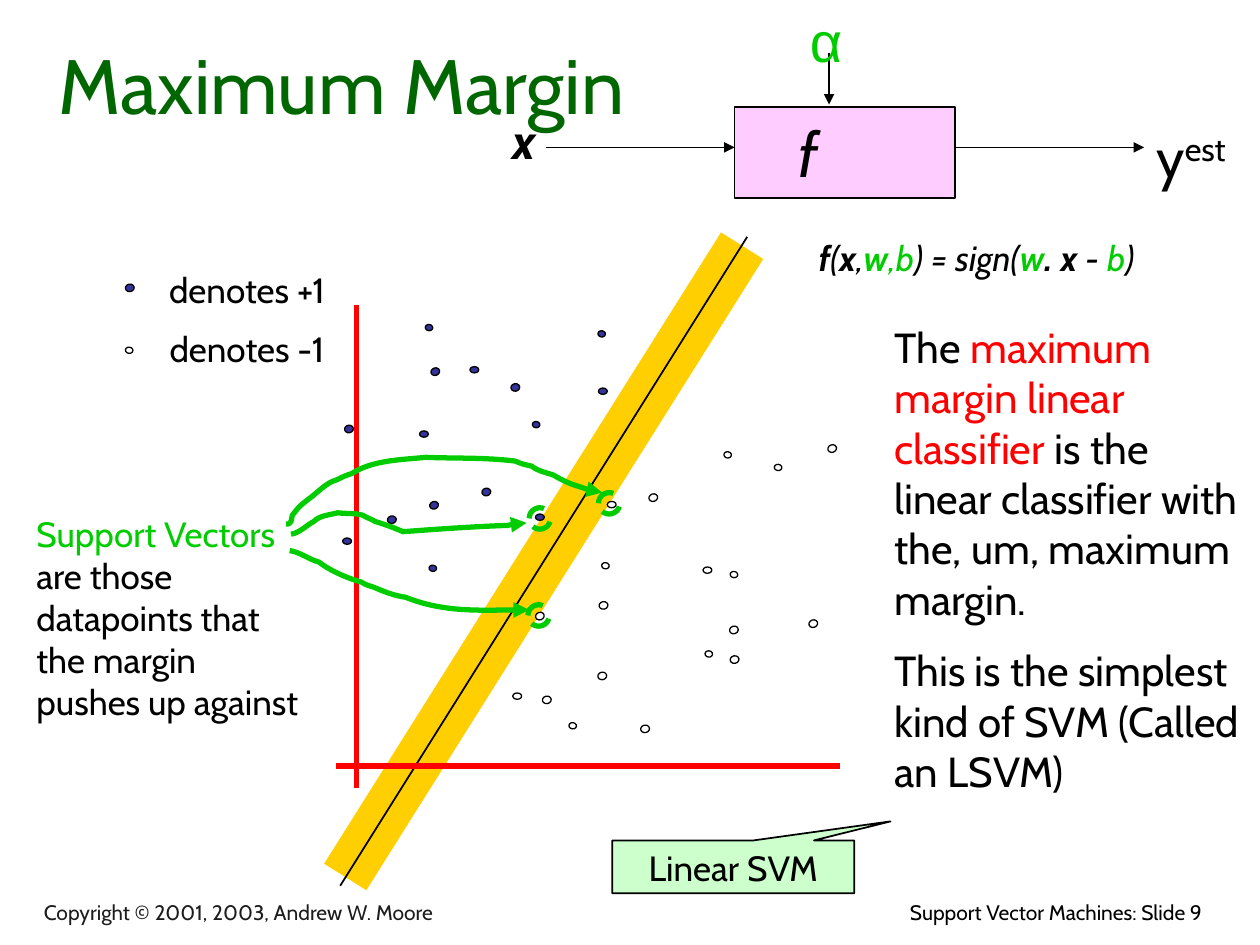
"""Build the Maximum Margin slide on support vector machines."""
from lxml.etree import SubElement
from pptx import Presentation
from pptx.dml.color import RGBColor
from pptx.enum.dml import MSO_LINE
from pptx.enum.shapes import MSO_CONNECTOR, MSO_SHAPE
from pptx.enum.text import MSO_ANCHOR, PP_ALIGN
from pptx.oxml.ns import qn
from pptx.util import Cm, Pt

BLACK = RGBColor(0x00, 0x00, 0x00)
WHITE = RGBColor(0xFF, 0xFF, 0xFF)
CHARCOAL = RGBColor(0x1C, 0x1C, 0x1C)
DARK_GREEN = RGBColor(0x00, 0x66, 0x00)
GREEN = RGBColor(0x00, 0xCC, 0x00)
MINT = RGBColor(0xCC, 0xFF, 0xCC)
RED = RGBColor(0xFF, 0x00, 0x00)
GOLD = RGBColor(0xFF, 0xCF, 0x01)
PINK = RGBColor(0xFF, 0xCC, 0xFF)
NAVY = RGBColor(0x33, 0x33, 0x99)

CENTER, RIGHT = PP_ALIGN.CENTER, PP_ALIGN.RIGHT
BOLD, PLAIN = {"bold": True}, {"bold": False}
GREEN_BOLD = {"color": GREEN, "bold": True}
GREEN_PLAIN = {"color": GREEN, "bold": False}

FOOTERS = [
    ((5.72, 7.09, 3.92, 0.3), [["Support Vector Machines: Slide 9"]],
     dict(size=12, align=RIGHT)),
    ((0.25, 7.11, 5.55, 0.28), [["Copyright © 2001, 2003, Andrew W. Moore"]],
     dict(size=12, color=CHARCOAL, anchor=MSO_ANCHOR.BOTTOM)),
]
LABELS = [
    ((0.17, 0.33, 5.08, 0.75), [["Maximum Margin"]],
     dict(size=44, color=DARK_GREEN, align=CENTER, anchor=MSO_ANCHOR.BOTTOM)),
    ((3.83, 0.83, 0.67, 0.57), [["x"]],
     dict(size=28, bold=True, italic=True, align=CENTER)),
    ((6.33, 0, 0.42, 0.63), [["α"]],
     dict(size=32, color=GREEN, font="Arial", align=CENTER)),
    ((9.08, 0.92, 0.92, 0.63), [["y", ("est", {"baseline": 30})]], dict(size=32)),
    ((0.92, 2.08, 2.08, 0.93), [["denotes +1"], ["denotes -1"]],
     dict(size=20, align=CENTER)),
    ((6, 1.83, 3.5, 0.43),
     [[("f", BOLD), "(", ("x", BOLD), ",", ("w", GREEN_BOLD), (",b", GREEN_PLAIN),
       ") = sign(", ("w", GREEN_BOLD), (". x ", BOLD), ("- ", PLAIN),
       ("b", GREEN_PLAIN), ")"]],
     dict(size=20, italic=True, align=CENTER)),
    ((7, 2.5, 3, 4.29),
     [["The ", ("maximum margin linear classifier", {"color": RED}),
       " is the linear classifier with the, um, maximum margin."],
      ["This is the simplest kind of SVM (Called an LSVM)"]],
     dict(size=24)),
    ((0.19, 4.02, 2.32, 2.1),
     [[("Support Vectors ", {"color": GREEN}),
       "are those datapoints that the margin pushes up against"]],
     dict(size=20)),
]

MARGIN = [((2.74, 6.96), (5.89, 1.95), GOLD, 28.5, False),
          ((2.7, 7.03), (5.93, 1.88), BLACK, 1, False)]
FLOW = [((4.33, 1.17), (5.83, 1.17), BLACK, 1, True),
        ((6.58, 0.42), (6.58, 0.83), BLACK, 1, True),
        ((7.58, 1.17), (9.08, 1.17), BLACK, 1, True)]
AXES = [((2.83, 2.42), (2.83, 6.25), RED, 3, False),
        ((2.67, 6.08), (6.67, 6.08), RED, 3, False)]

DOT_SIZES = {0: (0.07, 0.05), 341.4: (0.07, 0.06),
             98.3: (0.05, 0.06), 79.6: (0.06, 0.07)}
DOTS = [
    (NAVY, 0, [(2.72, 4.27), (4.75, 3.08), (3.73, 2.91), (4.25, 4.08), (3.33, 3.42)]),
    (NAVY, 341.4, [(3.42, 2.92), (3.41, 3.98)]),
    (NAVY, 98.3, [(4.23, 3.34), (3.41, 4.48), (4.75, 2.62), (3.38, 2.57)]),
    (NAVY, 79.6, [(1, 2.25), (3.83, 3.87), (3.08, 4.09), (4.06, 3.04), (2.74, 3.37)]),
    (WHITE, 0, [(4.07, 5.5), (4.82, 3.98), (5.58, 4.5)]),
    (WHITE, 341.4, [(4.25, 4.86), (6.57, 3.53), (5.79, 4.97), (5.15, 3.92),
                    (6.42, 4.92)]),
    (WHITE, 98.3, [(1, 2.75), (4.52, 5.73), (5.8, 4.53), (4.78, 4.46), (6.15, 3.68),
                   (5.75, 3.58), (5.6, 5.16)]),
    (WHITE, 79.6, [(5.09, 5.75), (4.75, 5.33), (4.76, 4.77), (4.31, 5.52),
                   (5.8, 5.2)]),
]
POINTERS = [
    [(2.31, 4.24), (2.38, 4.23), (2.43, 4.17), (2.49, 4.14), (2.54, 4.09),
     (2.61, 4.09), (2.68, 4.07), (2.77, 4.08), (2.81, 4.07), (2.88, 4.09),
     (2.91, 4.11), (2.95, 4.12), (2.98, 4.14), (3.05, 4.16), (3.13, 4.19),
     (3.2, 4.22), (3.47, 4.2), (3.75, 4.18), (4.03, 4.17), (4.08, 4.16),
     (4.13, 4.15), (4.18, 4.15)],
    [(2.27, 4.16), (2.28, 4.16), (2.3, 4.16), (2.3, 4.15), (2.32, 4.14),
     (2.31, 4.11), (2.32, 4.09), (2.33, 4.07), (2.35, 4.06), (2.36, 4.04),
     (2.38, 4.01), (2.48, 3.94), (2.49, 3.93), (2.55, 3.88), (2.6, 3.83),
     (2.67, 3.81), (2.71, 3.79), (2.75, 3.77), (2.79, 3.76), (2.96, 3.65),
     (3.19, 3.65), (3.38, 3.63), (3.62, 3.64), (3.85, 3.63), (4.09, 3.66),
     (4.13, 3.68), (4.17, 3.69), (4.22, 3.7), (4.27, 3.74), (4.33, 3.75),
     (4.39, 3.77), (4.46, 3.81), (4.52, 3.84), (4.59, 3.86), (4.65, 3.88),
     (4.72, 3.91), (4.78, 3.91)],
    [(2.3, 4.37), (2.38, 4.38), (2.45, 4.44), (2.53, 4.46), (2.62, 4.53),
     (2.76, 4.59), (2.87, 4.62), (2.91, 4.65), (2.95, 4.65), (2.99, 4.67),
     (3.06, 4.7), (3.14, 4.73), (3.22, 4.74), (3.52, 4.86), (3.88, 4.84),
     (4.2, 4.84)],
]
RINGS = [(4.75, 3.91), (4.2, 4.03), (4.19, 4.8)]


def lengths(inches):
    return [Cm(2.54 * value) for value in inches]


def write(frame, paragraphs, size, color=BLACK, font="Cabin", bold=False,
          italic=False, align=PP_ALIGN.LEFT, anchor=MSO_ANCHOR.TOP):
    frame.word_wrap = True
    frame.vertical_anchor = anchor
    for index, runs in enumerate(paragraphs):
        paragraph = frame.add_paragraph() if index else frame.paragraphs[0]
        paragraph.alignment = align
        paragraph.space_before = Pt(size / 2 if index else 0)
        for part in runs:
            text, change = (part, {}) if isinstance(part, str) else part
            run = paragraph.add_run()
            run.text = text
            run.font.name = font
            run.font.size = Pt(size)
            run.font.bold = change.get("bold", bold)
            run.font.italic = italic
            run.font.color.rgb = change.get("color", color)
            if "baseline" in change:
                run.font._element.set("baseline", str(change["baseline"] * 1000))


def add_labels(shapes, labels):
    for box, paragraphs, style in labels:
        write(shapes.add_textbox(*lengths(box)).text_frame, paragraphs, **style)


def stroke(shape, color, width, arrow=False):
    shape.line.color.rgb = color
    shape.line.width = Pt(width)
    if arrow:
        outline = shape._element.spPr.find(qn("a:ln"))
        SubElement(outline, qn("a:tailEnd"), type="triangle")


def add_lines(shapes, lines):
    for start, end, color, width, arrow in lines:
        line = shapes.add_connector(MSO_CONNECTOR.STRAIGHT, *lengths(start + end))
        stroke(line, color, width, arrow)
        SubElement(line._element.spPr, qn("a:effectLst"))


def add_figure(shapes, kind, box, fill=None, color=BLACK, width=1):
    figure = shapes.add_shape(kind, *lengths(box))
    figure.shadow.inherit = False
    if fill is None:
        figure.fill.background()
    else:
        figure.fill.solid()
        figure.fill.fore_color.rgb = fill
    stroke(figure, color, width)
    return figure


def add_pointer(shapes, points):
    start, *rest = [lengths(point) for point in points]
    builder = shapes.build_freeform(*start)
    builder.add_line_segments(rest, close=False)
    pointer = builder.convert_to_shape()
    pointer.shadow.inherit = False
    pointer.fill.background()
    stroke(pointer, GREEN, 3, arrow=True)
    outline = next(pointer._element.iter(qn("a:path")))
    segments = outline.findall(qn("a:lnTo"))
    for first in range(0, len(segments), 3):
        curve = SubElement(outline, qn("a:cubicBezTo"))
        for segment in segments[first:first + 3]:
            curve.append(segment[0])
            outline.remove(segment)


def main():
    deck = Presentation()
    deck.slide_width, deck.slide_height = Cm(25.4), Cm(19.05)
    shapes = deck.slides.add_slide(deck.slide_layouts[6]).shapes

    add_labels(shapes, FOOTERS)
    add_lines(shapes, MARGIN)
    machine = add_figure(shapes, MSO_SHAPE.RECTANGLE, (5.83, 0.85, 1.75, 0.72), PINK)
    machine.text_frame.margin_right = Cm(1.75)
    write(machine.text_frame, [["f"]], size=36, italic=True, align=CENTER,
          anchor=MSO_ANCHOR.MIDDLE)
    add_lines(shapes, FLOW + AXES)
    for fill, tilt, corners in DOTS:
        for corner in corners:
            dot = add_figure(shapes, MSO_SHAPE.OVAL, corner + DOT_SIZES[tilt], fill,
                             width=0.75)
            dot.rotation = tilt
    add_labels(shapes, LABELS)
    for points in POINTERS:
        add_pointer(shapes, points)
    for corner in RINGS:
        ring = add_figure(shapes, MSO_SHAPE.OVAL, corner + (0.17, 0.17), None, GREEN, 3)
        ring.line.dash_style = MSO_LINE.DASH
    callout = add_figure(shapes, MSO_SHAPE.RECTANGULAR_CALLOUT,
                         (4.86, 6.67, 1.92, 0.42), MINT)
    callout.adjustments[0], callout.adjustments[1] = 0.65, -0.86
    write(callout.text_frame, [["Linear SVM"]], size=20, align=CENTER)
    deck.save("out.pptx")


if __name__ == "__main__":
    main()
